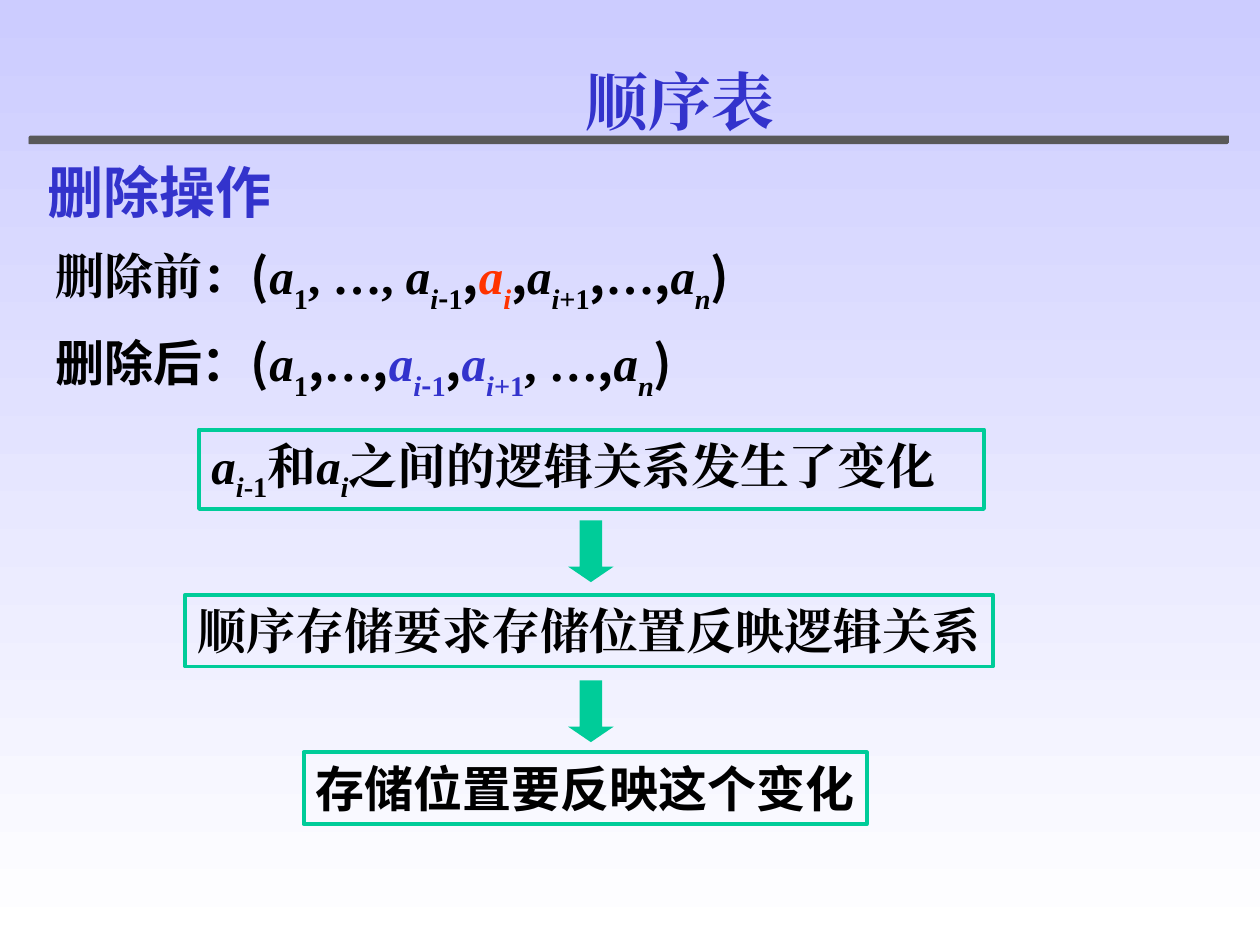
import pptx
import pptx.util
import pptx.dml.color
import pptx.enum.shapes
import pptx.enum.text
import pptx.oxml.ns
import lxml.etree

Inches, Pt = pptx.util.Inches, pptx.util.Pt
Shape = pptx.enum.shapes.MSO_SHAPE
Anchor = pptx.enum.text.MSO_ANCHOR
Align = pptx.enum.text.PP_ALIGN

SERIF, SANS, CJK = "Times New Roman", "Arial", "Noto Sans CJK SC"
BLACK, BLUE, RED, GREEN, GRAY = "000000", "3333CC", "FF3300", "00CC99", "595959"


def paint(target, code):
    target.rgb = pptx.dml.color.RGBColor.from_string(code)


def write(para, text, size=28, face=SERIF, color=BLACK, slant=False, base=0):
    run = para.add_run()
    run.text = text
    font = run.font
    font.size, font.name, font.bold, font.italic = Pt(size), face, True, slant
    paint(font.color, color)
    props = run._r.get_or_add_rPr()
    east = lxml.etree.SubElement(props, pptx.oxml.ns.qn("a:ea"))
    east.set("typeface", face)
    if base:
        props.set("baseline", str(base * 1000))


def plain(text, **form):
    return [(text, form)]


def term(index, tail="", dash="", color=BLACK, base=-30, slant=True):
    parts = [("a", dict(color=color, slant=True)),
             (index, dict(color=color, slant=slant, base=base))]
    if dash:
        parts.append((dash, dict(color=color, face=CJK, base=base)))
    if tail:
        parts.append((tail, dict(color=color, base=base)))
    return parts


class Deck:
    def __init__(self):
        self.show = pptx.Presentation()
        self.show.slide_width, self.show.slide_height = Inches(10), Inches(7.5)
        self.slide = self.show.slides.add_slide(self.show.slide_layouts[6])
        self.shapes = self.slide.shapes

    def back(self, top, low):
        fill = self.slide.background.fill
        fill.gradient()
        fill.gradient_angle = 270
        for stop, place, code in zip(fill.gradient_stops, (0, 1), (top, low)):
            stop.position = place
            paint(stop.color, code)

    def style(self, shape, fill=None, line=None, width=2.25):
        shape.shadow.inherit = False
        if fill:
            shape.fill.solid()
            paint(shape.fill.fore_color, fill)
        else:
            shape.fill.background()
        if line:
            paint(shape.line.color, line)
            shape.line.width = Pt(width)
        else:
            shape.line.fill.background()

    def fill(self, shape, lines, wrap=True, anchor=Anchor.TOP, pad=0.05,
             align=Align.LEFT, space=None, gap=0):
        frame = shape.text_frame
        frame.word_wrap, frame.vertical_anchor = wrap, anchor
        frame.margin_left = frame.margin_right = Inches(0.1)
        frame.margin_top = frame.margin_bottom = Inches(pad)
        for row, parts in enumerate(lines):
            para = frame.add_paragraph() if row else frame.paragraphs[0]
            para.alignment = align
            if space:
                para.line_spacing = space
            if row:
                para.space_before = Pt(gap)
            for text, form in parts:
                write(para, text, **form)

    def text(self, left, top, width, height, lines, **form):
        box = self.shapes.add_textbox(*map(Inches, (left, top, width, height)))
        self.fill(box, lines, **form)

    def frame(self, left, top, width, height, parts):
        box = self.shapes.add_shape(
            Shape.RECTANGLE, *map(Inches, (left, top, width, height)))
        self.style(box, line=GREEN)
        self.fill(box, [parts], wrap=False)

    def arrow(self, left, top):
        mark = self.shapes.add_shape(
            Shape.DOWN_ARROW, *map(Inches, (left, top, 0.36, 0.49)))
        mark.adjustments[0], mark.adjustments[1] = 0.5, 0.34
        self.style(mark, fill=GREEN)

    def rule(self, left, top, right, low, cut=0.01):
        points = [(left + cut, top), (right, top), (right, low - cut),
                  (right - cut, low), (left, low), (left, top + cut)]
        spots = [(Inches(x), Inches(y)) for x, y in points]
        path = self.shapes.build_freeform(*spots[0])
        path.add_line_segments(spots[1:], close=True)
        self.style(path.convert_to_shape(), GRAY, GRAY, 0.5)


def main():
    deck = Deck()
    deck.back("CCCCFF", "FFFFFF")
    deck.rule(0.23, 1.08, 9.75, 1.14)

    comma, dots = plain(",", face=CJK), plain("…")
    start = plain("(", face=CJK) + term("1", slant=False)
    end = comma + term("n") + plain(")", face=CJK)
    before = (plain("删除前：") + start + plain(", …, ")
              + term("i", "1", "-") + comma + term("i", color=RED) + comma
              + term("i", "+1") + comma + dots + end)
    after = (plain("删除后：", face=CJK) + start + comma + dots + comma
             + term("i", "1", "-", BLUE) + comma
             + term("i", "+1", color=BLUE) + plain(", …") + end)
    deck.text(0.34, 1.9, 9.17, 1.38, [before, after], space=0.9, gap=14)

    deck.text(0.28, 1.18, 8.08, 0.67,
              [plain("删除操作", size=32, face=SANS, color=BLUE)],
              anchor=Anchor.MIDDLE)
    deck.text(1.31, 0.5, 8.17, 0.6, [plain("顺序表", size=36, color=BLUE)],
              pad=0, align=Align.CENTER)

    change = (term("i", "-1", base=-25) + plain("和") + term("i", base=-25)
              + plain("之间的逻辑关系发生了变化"))
    deck.frame(1.58, 3.41, 6.23, 0.63, change)
    deck.frame(1.47, 4.72, 6.41, 0.57, plain("顺序存储要求存储位置反映逻辑关系"))
    deck.frame(2.41, 5.97, 4.47, 0.57, plain("存储位置要反映这个变化", face=SANS))
    for top in (4.13, 5.4):
        deck.arrow(4.51, top)
    deck.show.save("out.pptx")


if __name__ == "__main__":
    main()
